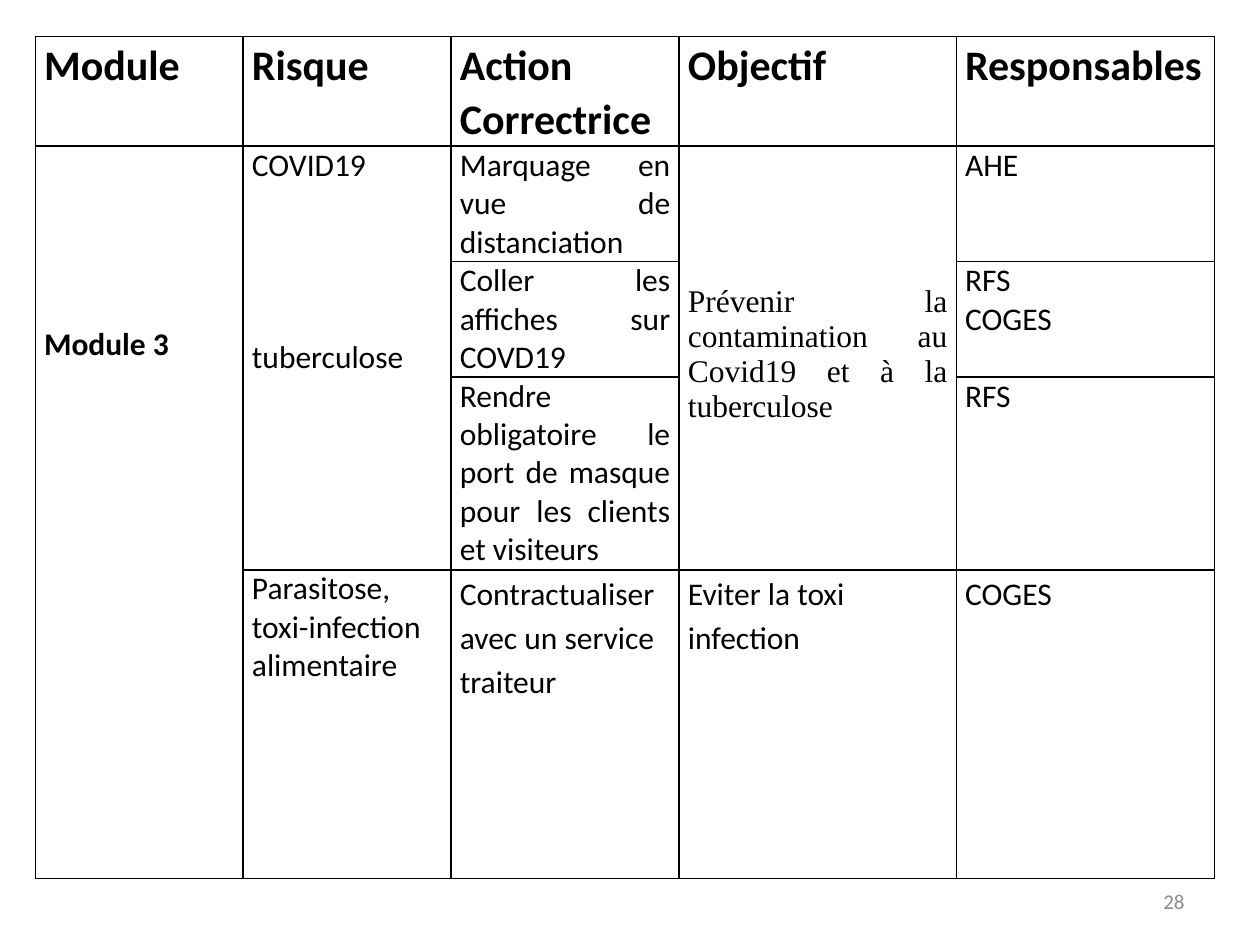
from pptx import Presentation
from pptx.dml.color import RGBColor
from pptx.enum.text import MSO_ANCHOR, PP_ALIGN as Align
from pptx.oxml import parse_xml
from pptx.oxml.ns import nsdecls
from pptx.util import Inches, Pt

COLS = [1.65, 1.65, 1.81, 2.2, 2.05]
ROWS = [0.87, 0.91, 0.91, 1.53, 2.45]
HEADINGS = ["Module", "Risque", "Action Correctrice", "Objectif", "Responsables"]
MERGES = [(1, 0, 4, 0), (1, 1, 3, 1), (1, 3, 3, 3)]


def color(hex_code):
    return RGBColor.from_string(hex_code)


class SlideBuilder:
    font, ink, muted, size = "Calibri", "000000", "8C8C8C", 18

    def __init__(self, prs):
        self.s = prs.slides.add_slide(prs.slide_layouts[6])

    def style(self, p, size=None, bold=False, font=None, ink=None,
              align=Align.LEFT, spacing=None, before=0):
        p.alignment = align
        p.line_spacing = spacing
        p.space_before = Pt(before)
        p.font.size = Pt(size or self.size)
        p.font.bold = bold
        p.font.name = font or self.font
        p.font.color.rgb = color(ink or self.ink)

    def border(self, cell):
        tc_pr = cell._tc.get_or_add_tcPr()
        for side in "LRTB":
            tc_pr.append(parse_xml(
                f'<a:ln{side} {nsdecls("a")} w="12700"><a:solidFill>'
                f'<a:srgbClr val="{self.ink}"/></a:solidFill></a:ln{side}>'))

    def table(self, x, y, cols, rows, merges):
        frame = self.s.shapes.add_table(
            len(rows), len(cols), Inches(x), Inches(y),
            Inches(sum(cols)), Inches(sum(rows)))
        tbl = frame.table
        tbl.first_row = tbl.horz_banding = False
        for col, width in zip(tbl.columns, cols):
            col.width = Inches(width)
        for row, height in zip(tbl.rows, rows):
            row.height = Inches(height)
        for cell in tbl.iter_cells():
            self.border(cell)
            cell.fill.background()
            cell.margin_left = cell.margin_right = Inches(0.07)
            cell.margin_top = cell.margin_bottom = 0
        for top, left, bottom, right in merges:
            tbl.cell(top, left).merge(tbl.cell(bottom, right))
        return tbl

    def cell(self, cell, text, top=0, gap=0, **style):
        """Fill a cell; top is its inner margin, gap the points between paragraphs."""
        cell.margin_top = Inches(top)
        tf = cell.text_frame
        tf.text = text
        for i, p in enumerate(tf.paragraphs):
            self.style(p, before=gap if i else 0, **style)

    def page_number(self, text, x, y, w, h):
        tf = self.s.shapes.add_textbox(*map(Inches, (x, y, w, h))).text_frame
        tf.word_wrap = True
        tf.vertical_anchor = MSO_ANCHOR.MIDDLE
        tf.text = text
        self.style(tf.paragraphs[0], size=12, ink=self.muted, align=Align.RIGHT)


def main():
    prs = Presentation()
    prs.slide_width, prs.slide_height = Inches(10), Inches(7.5)
    b = SlideBuilder(prs)
    tbl = b.table(0.28, 0.29, COLS, ROWS, MERGES)

    for c, heading in enumerate(HEADINGS):
        b.cell(tbl.cell(0, c), heading, size=24, bold=True, spacing=1.07)

    b.cell(tbl.cell(1, 0), "Module 3", top=1.38, bold=True, spacing=1.15)
    b.cell(tbl.cell(1, 1), "COVID19\ntuberculose", gap=88)
    b.cell(tbl.cell(1, 3), "Prévenir la contamination au Covid19 et à la tuberculose",
           top=1.1, font="Times New Roman", align=Align.JUSTIFY)

    actions = [
        ("Marquage en vue de distanciation", "AHE"),
        ("Coller les affiches sur COVD19", "RFS\nCOGES"),
        ("Rendre obligatoire le port de masque pour les clients et visiteurs", "RFS"),
    ]
    for r, (action, owner) in enumerate(actions, start=1):
        b.cell(tbl.cell(r, 2), action, align=Align.JUSTIFY)
        b.cell(tbl.cell(r, 4), owner, align=Align.JUSTIFY)

    b.cell(tbl.cell(4, 1), "Parasitose, toxi-infection alimentaire")
    food_safety = ["Contractualiser avec un service traiteur",
                   "Eviter la toxi infection", "COGES"]
    for c, text in enumerate(food_safety, start=2):
        b.cell(tbl.cell(4, c), text, spacing=1.15)

    b.page_number("28", 7.17, 6.95, 2.33, 0.4)
    prs.save("out.pptx")


if __name__ == "__main__":
    main()
